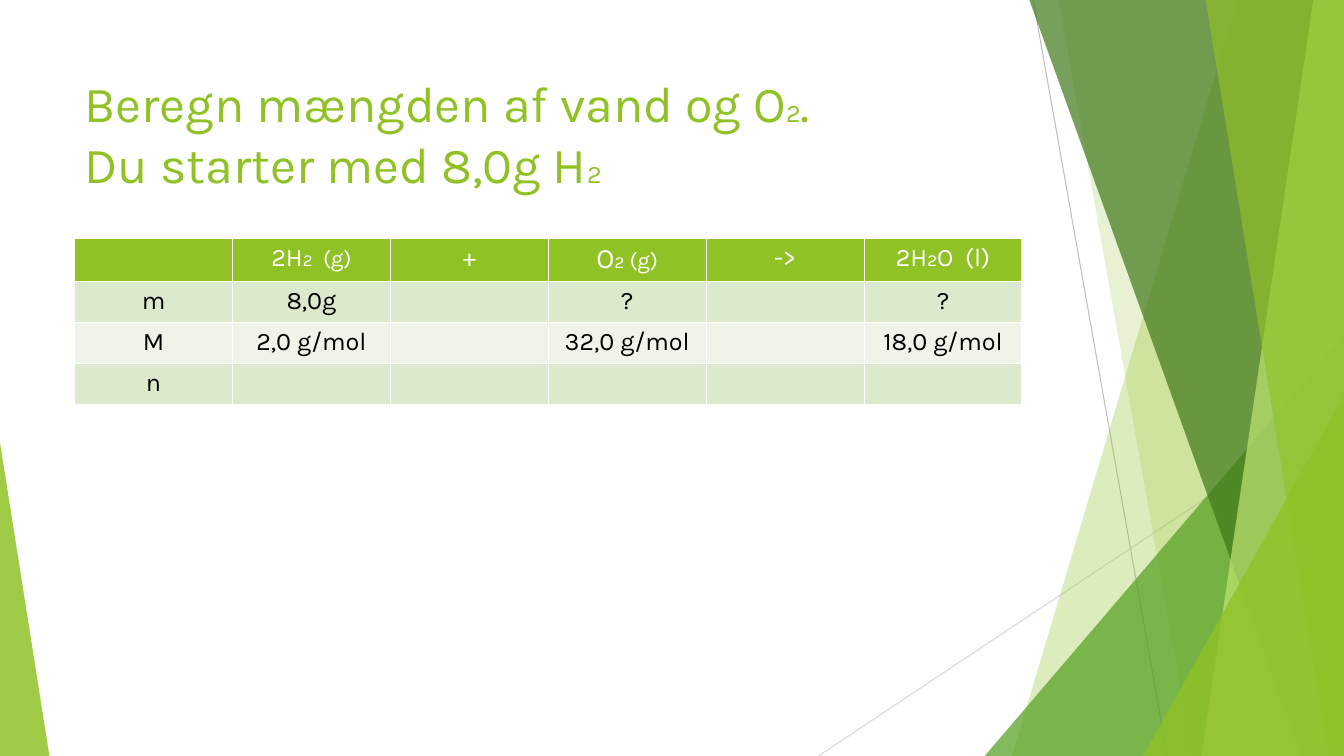
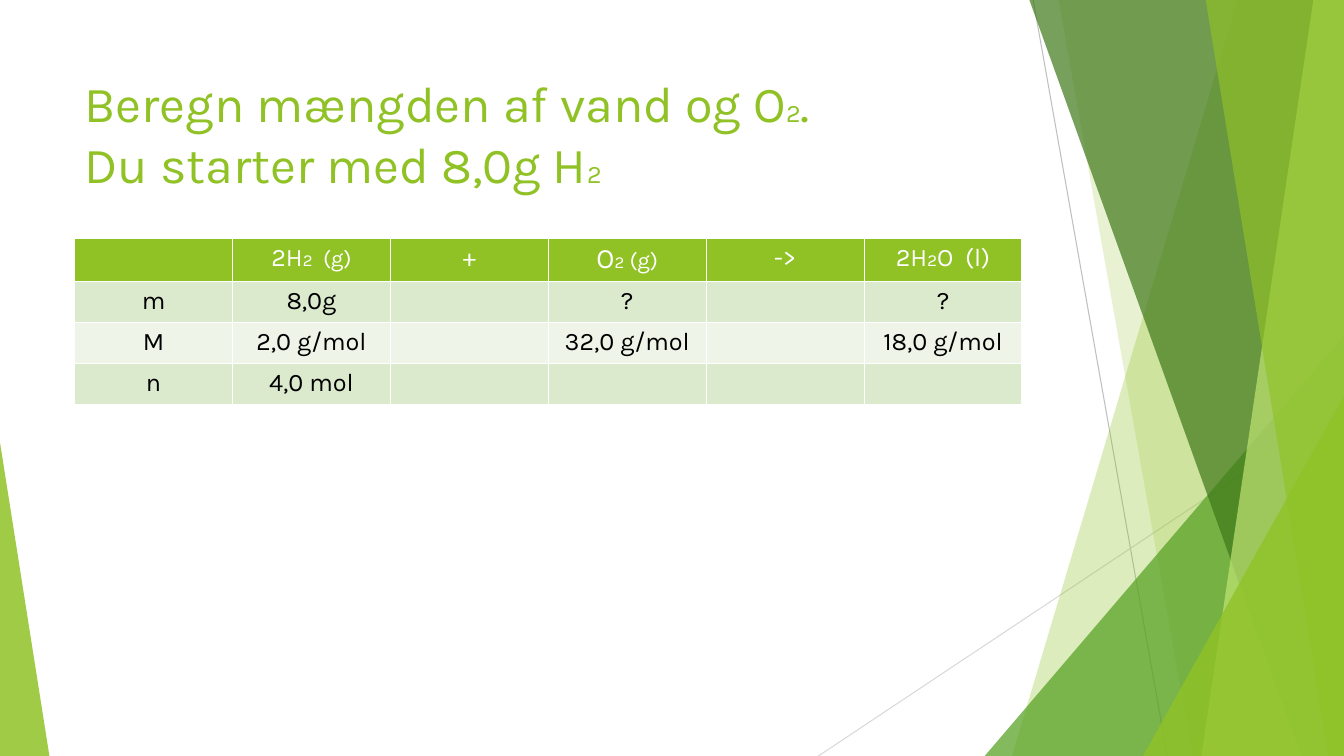
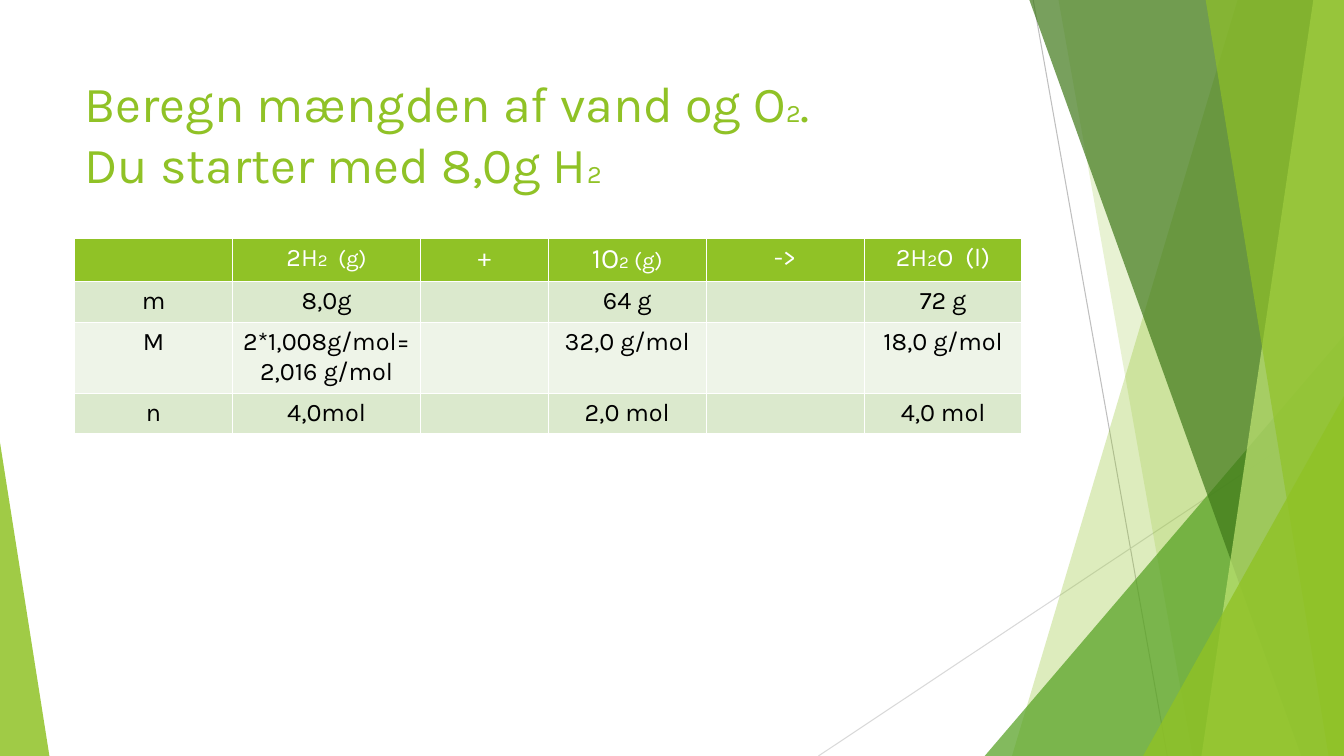
from lxml import etree
from pptx import Presentation
from pptx.dml.color import RGBColor
from pptx.enum import shapes, text
from pptx.oxml.ns import qn
from pptx.util import Pt

COLOURS = {
    "lime": "90C226", "green": "54A021", "forest": "3F7819", "pale": "C0E474",
    "grey": "BFBFBF", "mist": "D9D9D9", "band": "DBE9CD", "light": "EEF4E8",
    "white": "FFFFFF", "black": "000000",
}
FONT = "Karla"
WIDTH, HEIGHT, BLEED = 960, 540, -0.6

LINES = [("grey", 738, 0, 833.8, HEIGHT), ("mist", WIDTH, 290.2, 584.6, HEIGHT)]
FACETS = [
    ("strip", "lime", 30, (884.2, 722.9)),
    ("strip", "lime", 20, (756, 851.8)),
    ("peak", "green", 72, (703.4, 239.8, 256.6, 1)),
    ("strip", "forest", 70, (735.1, 929.5)),
    ("strip", "pale", 70, (938.2, 858.2)),
    ("strip", "lime", 65, (861.1, 949)),
    ("peak", "lime", 80, (816.5, 283, 143.5, 1)),
    ("peak", "lime", 85, (0, 316.1, 35.3, 0)),
]

TITLE_BOX = (53.3, 48.2, 676.8, 103.7)
TITLE = [
    [("Beregn mængden af vand og O", 36), ("2", 18), (". ", 36)],
    [("Du starter med 8,0g H", 36), ("2", 18)],
]

TABLE_LEFT, TABLE_TOP, TABLE_WIDTH, ROW_HEIGHT = 53.3, 170, 676.8, 29.2
COLUMN = TABLE_WIDTH / 6
EVEN = [COLUMN] * 6
SHIFT = 21.6
WIDE = [COLUMN, COLUMN + SHIFT, COLUMN - SHIFT] + [COLUMN] * 3
BODY_SIZE = 18


def reaction(oxygen):
    return [
        [],
        [("2H", 18), ("2", 12), ("  (g)", 16)],
        [("+", 18)],
        [(oxygen, 20), ("2", 12), (" (g)", 16)],
        [("->", 18)],
        [("2H", 18), ("2", 12), ("O  (l)", 18)],
    ]


MASSES = ["m", "8,0g", "", "?", "", "?"]
MOLAR = ["M", "2,0 g/mol", "", "32,0 g/mol", "", "18,0 g/mol"]
PAGES = [
    (EVEN, "O", [MASSES, MOLAR, ["n", "", "", "", "", ""]]),
    (EVEN, "O", [MASSES, MOLAR, ["n", "4,0 mol", "", "", "", ""]]),
    (WIDE, "1O", [
        ["m", "8,0g", "", "64 g", "", "72 g"],
        ["M", "2*1,008g/mol= 2,016 g/mol", "", "32,0 g/mol", "", "18,0 g/mol"],
        ["n", "4,0mol", "", "2,0 mol", "", "4,0 mol"],
    ]),
]


def rgb(name):
    return RGBColor.from_string(COLOURS[name])


def points(*values):
    return [Pt(value) for value in values]


def write(para, spans, colour):
    for words, size in spans:
        span = para.add_run()
        span.text = words
        for name, value in {"name": FONT, "size": Pt(size), "bold": False}.items():
            setattr(span.font, name, value)
        span.font.color.rgb = rgb(colour)


def add_line(page, colour, *ends):
    line = page.shapes.add_connector(shapes.MSO_CONNECTOR.STRAIGHT, *points(*ends))
    line.line.color.rgb = rgb(colour)
    line.line.width = Pt(0.75)
    etree.SubElement(line.element.find(qn("p:spPr")), qn("a:effectLst"))


def add_strip(page, top_x, bottom_x):
    outline = page.shapes.build_freeform(*points(top_x, BLEED))
    corners = [(WIDTH, BLEED), (WIDTH, HEIGHT), (bottom_x, HEIGHT)]
    outline.add_line_segments([points(*corner) for corner in corners], close=True)
    return outline.convert_to_shape()


def add_peak(page, left, top, width, apex):
    peak = page.shapes.add_shape(
        shapes.MSO_SHAPE.ISOSCELES_TRIANGLE, *points(left, top, width, HEIGHT - top))
    peak.adjustments[0] = apex
    return peak


def add_facets(page):
    makers = {"strip": add_strip, "peak": add_peak}
    for kind, colour, opacity, place in FACETS:
        facet = makers[kind](page, *place)
        facet.shadow.inherit = False
        facet.fill.solid()
        facet.fill.fore_color.rgb = rgb(colour)
        facet.line.fill.background()
        tint = facet.element.find(".//" + qn("a:srgbClr"))
        etree.SubElement(tint, qn("a:alpha")).set("val", str(opacity * 1000))


def add_title(page):
    frame = page.shapes.add_textbox(*points(*TITLE_BOX)).text_frame
    frame.word_wrap = True
    frame.vertical_anchor = text.MSO_ANCHOR.TOP
    para = frame.paragraphs[0]
    for index, spans in enumerate(TITLE):
        if index:
            para.add_line_break()
        write(para, spans, "lime")


def add_amounts(page, widths, oxygen, body):
    rows = [reaction(oxygen)]
    rows += [[[(words, BODY_SIZE)] if words else [] for words in row] for row in body]
    table = page.shapes.add_table(
        len(rows), len(widths),
        *points(TABLE_LEFT, TABLE_TOP, TABLE_WIDTH, ROW_HEIGHT * len(rows))).table
    for column, width in zip(table.columns, widths):
        column.width = Pt(width)
    for r, row in enumerate(rows):
        table.rows[r].height = Pt(ROW_HEIGHT)
        fill = "lime" if r == 0 else ("light", "band")[r % 2]
        for c, spans in enumerate(row):
            cell = table.cell(r, c)
            cell.fill.solid()
            cell.fill.fore_color.rgb = rgb(fill)
            para = cell.text_frame.paragraphs[0]
            para.alignment = text.PP_ALIGN.CENTER
            write(para, spans, "black" if r else "white")


def main():
    deck = Presentation()
    deck.slide_width, deck.slide_height = points(WIDTH, HEIGHT)
    for widths, oxygen, body in PAGES:
        page = deck.slides.add_slide(deck.slide_layouts[6])
        for line in LINES:
            add_line(page, *line)
        add_facets(page)
        add_title(page)
        add_amounts(page, widths, oxygen, body)
    deck.save("out.pptx")


if __name__ == "__main__":
    main()
